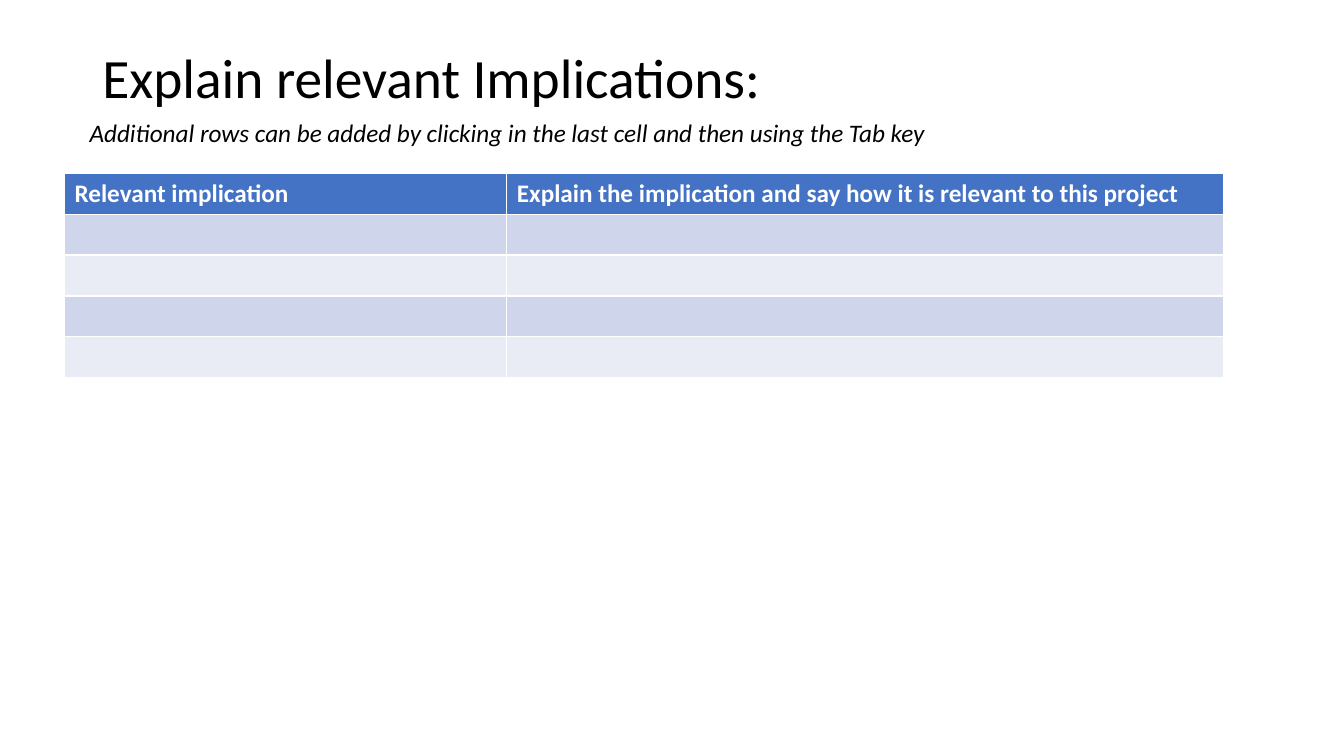
from pptx import Presentation
from pptx import util as u
from pptx.dml import color
from pptx.enum import text

Pt = u.Pt

TITLE = "Explain relevant Implications:"
HINT = "Additional rows can be added by clicking in the last cell and then using the Tab key"
HEADS = ["Relevant implication",
         "Explain the implication and say how it is relevant to this project"]
BLANKS = 4

THEME = {
    "face": "Calibri",
    "ink": "000000", "paper": "FFFFFF",
    "head": "4472C4", "bands": ["CFD5EA", "E9EBF5"],
    "title": 39.6, "body": 18,
}
PAGE = (960, 540)
SPOTS = {"title": (66, 28.8, 828, 44), "hint": (56.9, 80.6, 787.7, 29.2)}
LEFT, TOP, ROW = 46.1, 123.8, 29.2
COLS = [316, 512]


def rgb(code):
    """Turn a hex code into a colour."""
    return color.RGBColor.from_string(code)


def style(par, ink, size, **more):
    """Set the font of a paragraph's runs."""
    look = {"name": THEME["face"], "size": Pt(size), **more}
    for run in par.runs:
        for key, val in look.items():
            setattr(run.font, key, val)
        run.font.color.rgb = rgb(ink)


def label(slide, words, spot, size, frame, para, **font):
    """Add a text box with frame, paragraph and font formats."""
    box = slide.shapes.add_textbox(*map(Pt, spot)).text_frame
    box.text = words
    par = box.paragraphs[0]
    for part, look in ((box, {"word_wrap": True, **frame}), (par, para)):
        for key, val in look.items():
            setattr(part, key, val)
    style(par, THEME["ink"], size, **font)


def grid(slide):
    """Add the table: a header and banded empty rows."""
    count = BLANKS + 1
    table = slide.shapes.add_table(
        count, len(COLS), Pt(LEFT), Pt(TOP), Pt(sum(COLS)), Pt(ROW * count)).table
    for col, wide in zip(table.columns, COLS):
        col.width = Pt(wide)
    for num, row in enumerate(table.rows):
        row.height = Pt(ROW)
        fill = THEME["bands"][(num - 1) % 2] if num else THEME["head"]
        for cell in row.cells:
            cell.fill.solid()
            cell.fill.fore_color.rgb = rgb(fill)
    for cell, words in zip(table.rows[0].cells, HEADS):
        cell.text = words
        style(cell.text_frame.paragraphs[0], THEME["paper"], THEME["body"], bold=True)


def main():
    """Build the slide and save it."""
    deck = Presentation()
    deck.slide_width, deck.slide_height = map(Pt, PAGE)
    slide = deck.slides.add_slide(deck.slide_layouts[6])
    label(slide, TITLE, SPOTS["title"], THEME["title"],
          {"vertical_anchor": text.MSO_ANCHOR.MIDDLE}, {"line_spacing": 1.15})
    label(slide, HINT, SPOTS["hint"], THEME["body"],
          {"auto_size": text.MSO_AUTO_SIZE.SHAPE_TO_FIT_TEXT}, {}, italic=True)
    grid(slide)
    deck.save("out.pptx")


main()
